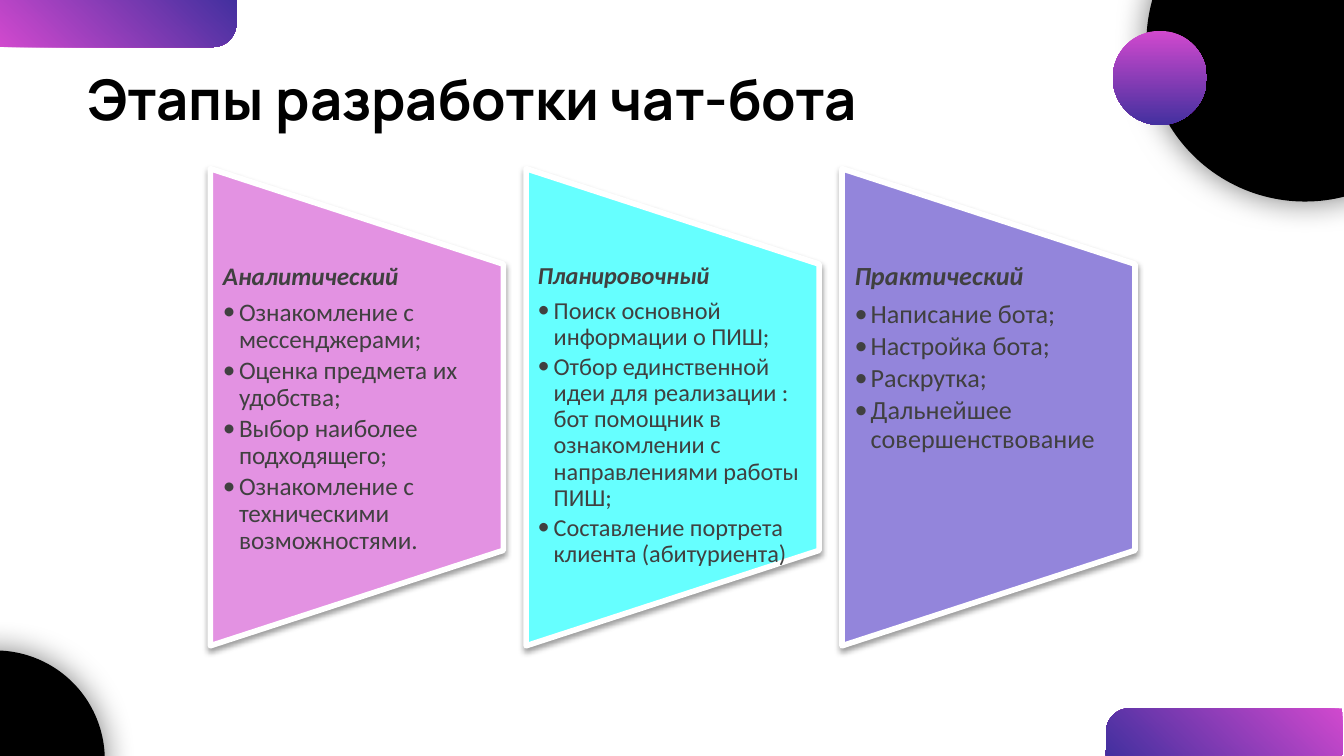
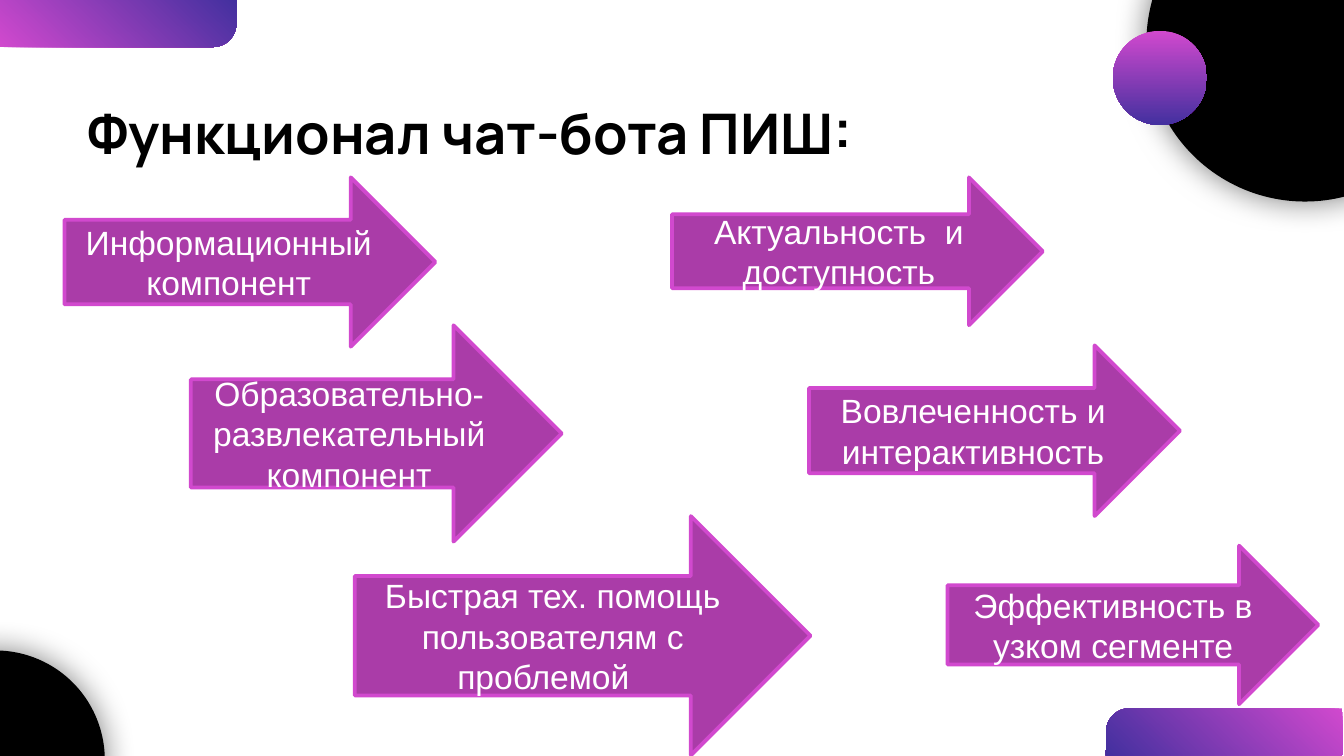
from lxml.etree import SubElement
from pptx import Presentation
from pptx.dml.color import RGBColor
from pptx.enum.shapes import MSO_SHAPE
from pptx.enum.text import MSO_ANCHOR, MSO_AUTO_SIZE, PP_ALIGN
from pptx.oxml.ns import qn
from pptx.util import Inches, Pt

BLACK = RGBColor(0x00, 0x00, 0x00)
WHITE = RGBColor(0xFF, 0xFF, 0xFF)
GREY = RGBColor(0x40, 0x40, 0x40)
MAGENTA = RGBColor(0xD1, 0x49, 0xCE)
INDIGO = RGBColor(0x43, 0x30, 0x9F)
PLUM = RGBColor(0xAA, 0x3C, 0xA8)
PINK = RGBColor(0xE3, 0x92, 0xE2)
CYAN = RGBColor(0x66, 0xFF, 0xFF)
LAVENDER = RGBColor(0x93, 0x85, 0xDB)

TITLE_FONT = "Manrope"
STAGE_FONT = "Calibri"
FEATURE_FONT = "Arial"

SLIDE_WIDTH = Inches(10)
SLIDE_HEIGHT = SLIDE_WIDTH * 9 // 16

STAGE_LEFT = 0.88
STAGE_STEP = 2.35
STAGE_TEXT_OFFSET = 0.68
BULLET_INDENT = Inches(0.12)

STAGES = [
    ("Аналитический", PINK, 13.5, [
        "Ознакомление с мессенджерами;",
        "Оценка предмета их удобства;",
        "Выбор наиболее подходящего;",
        "Ознакомление с техническими возможностями.",
    ]),
    ("Планировочный", CYAN, 13, [
        "Поиск основной информации о ПИШ;",
        "Отбор единственной идеи для реализации : бот помощник в "
        "ознакомлении с направлениями работы ПИШ;",
        "Составление портрета клиента (абитуриента)",
    ]),
    ("Практический", LAVENDER, 14, [
        "Написание бота;",
        "Настройка бота;",
        "Раскрутка;",
        "Дальнейшее совершенствование",
    ]),
]

FEATURES = [
    ("Информационный компонент", 0.48, 1.32, 2.76, 1.26),
    ("Образовательно-развлекательный компонент", 1.42, 2.42, 2.76, 1.61),
    ("Быстрая тех. помощь пользователям с проблемой  ", 2.64, 3.84, 3.39, 1.78),
    ("Актуальность  и доступность", 5, 1.32, 2.76, 1.1),
    ("Вовлеченность и интерактивность", 6.02, 2.57, 2.76, 1.27),
    ("Эффективность в узком сегменте", 7.05, 4.06, 2.76, 1.18),
]


def add_plain_shape(slide, kind, left, top, width, height, color=None):
    shape = slide.shapes.add_shape(
        kind, Inches(left), Inches(top), Inches(width), Inches(height))
    shape.shadow.inherit = False
    shape.line.fill.background()
    if color is not None:
        shape.fill.solid()
        shape.fill.fore_color.rgb = color
    return shape


def set_outline(shape, color, width):
    shape.line.color.rgb = color
    shape.line.width = Pt(width)


def set_gradient(shape, clockwise_angle):
    shape.fill.gradient()
    shape.fill.gradient_angle = 360 - clockwise_angle
    for stop, color in zip(shape.fill.gradient_stops, (MAGENTA, INDIGO)):
        stop.color.rgb = color


def add_shadow(shape, opacity, blur, distance=0, direction=0):
    effects = shape._element.spPr.find(qn("a:effectLst"))
    shadow = SubElement(
        effects, qn("a:outerShdw"), blurRad=str(Pt(blur)), dist=str(Pt(distance)),
        dir=str(direction * 60000), algn="ctr", rotWithShape="0")
    color = SubElement(shadow, qn("a:srgbClr"), val=str(BLACK))
    SubElement(color, qn("a:alpha"), val=str(opacity * 1000))


def add_corner_band(slide, left, top, rotation=0):
    band = add_plain_shape(
        slide, MSO_SHAPE.ROUND_1_RECTANGLE, left, top, 1.76, 0.35)
    band.adjustments[0] = 0.5
    band.rotation = rotation
    band._element.spPr.get_or_add_xfrm().set("flipH", "1")
    set_gradient(band, 46)


def add_black_circle(slide, left, top, diameter):
    circle = add_plain_shape(
        slide, MSO_SHAPE.OVAL, left, top, diameter, diameter, BLACK)
    add_shadow(circle, 50, 16.9)


def add_decor(slide):
    add_corner_band(slide, 8.23, 5.27)
    add_corner_band(slide, 0, 0, rotation=180)
    add_black_circle(slide, -0.85, 4.84, 1.63)
    add_black_circle(slide, 8.53, -0.86, 2.36)
    ball = add_plain_shape(slide, MSO_SHAPE.OVAL, 8.28, 0.23, 0.7, 0.7)
    set_gradient(ball, 90)


def add_run(paragraph, text, font, size, color, bold=False, italic=False):
    run = paragraph.add_run()
    run.text = text
    run.font.name = font
    run.font.size = Pt(size)
    run.font.color.rgb = color
    run.font.bold = bold
    run.font.italic = italic


def set_margins(frame, side, vertical):
    frame.margin_left = frame.margin_right = Inches(side)
    frame.margin_top = frame.margin_bottom = Inches(vertical)


def set_title(slide, text, top):
    title = slide.shapes.title
    title.left, title.top = Inches(0.55), Inches(top)
    title.width, title.height = Inches(8.44), Inches(0.52)
    frame = title.text_frame
    frame.auto_size = MSO_AUTO_SIZE.NONE
    frame.word_wrap = True
    frame.vertical_anchor = MSO_ANCHOR.MIDDLE
    set_margins(frame, 0.1, 0.1)
    heading = frame.paragraphs[0]
    heading.alignment = PP_ALIGN.LEFT
    add_run(heading, text, TITLE_FONT, 30, BLACK, bold=True)


def add_titled_slide(deck, title, title_top):
    slide = deck.slides.add_slide(deck.slide_layouts[5])
    add_decor(slide)
    set_title(slide, title, title_top)
    return slide


def set_spacing(paragraph, size, share_after):
    paragraph.line_spacing = 0.9
    paragraph.space_after = Pt(round(size * share_after, 1))


def set_bullet(paragraph):
    properties = paragraph._p.get_or_add_pPr()
    properties.set("marL", str(BULLET_INDENT))
    properties.set("indent", str(-BULLET_INDENT))
    SubElement(properties, qn("a:buFont"), typeface=STAGE_FONT)
    SubElement(properties, qn("a:buChar"), char="•")


def add_stage(slide, left, name, color, size, tasks):
    panel = add_plain_shape(
        slide, MSO_SHAPE.FLOWCHART_MANUAL_OPERATION, left, 1.94, 3.55, 2.18, color)
    panel.rotation = 270
    set_outline(panel, WHITE, 3)
    add_shadow(panel, 38, 3.1, 1.6, 90)

    description = slide.shapes.add_textbox(
        Inches(left + STAGE_TEXT_OFFSET), Inches(1.96), Inches(2.18), Inches(2.13))
    frame = description.text_frame
    frame.word_wrap = True
    set_margins(frame, 0.1 if size > 13 else 0.09, 0)
    heading = frame.paragraphs[0]
    set_spacing(heading, size, 0.35)
    add_run(heading, name, STAGE_FONT, size, GREY, bold=True, italic=True)
    for task in tasks:
        item = frame.add_paragraph()
        item.level = 1
        set_spacing(item, size, 0.15)
        set_bullet(item)
        add_run(item, task, STAGE_FONT, size, GREY)


def add_feature_arrow(slide, text, left, top, width, height):
    arrow = add_plain_shape(
        slide, MSO_SHAPE.RIGHT_ARROW, left, top, width, height, PLUM)
    set_outline(arrow, MAGENTA, 2)
    frame = arrow.text_frame
    frame.word_wrap = True
    frame.vertical_anchor = MSO_ANCHOR.MIDDLE
    label = frame.paragraphs[0]
    label.alignment = PP_ALIGN.CENTER
    add_run(label, text, FEATURE_FONT, 18, WHITE)


def main():
    deck = Presentation()
    deck.slide_width = SLIDE_WIDTH
    deck.slide_height = SLIDE_HEIGHT

    stages_slide = add_titled_slide(deck, "Этапы разработки чат-бота", 0.47)
    for index, stage in enumerate(STAGES):
        add_stage(stages_slide, STAGE_LEFT + index * STAGE_STEP, *stage)

    features_slide = add_titled_slide(deck, "Функционал чат-бота ПИШ:", 0.72)
    for feature in FEATURES:
        add_feature_arrow(features_slide, *feature)

    deck.save("out.pptx")


if __name__ == "__main__":
    main()
